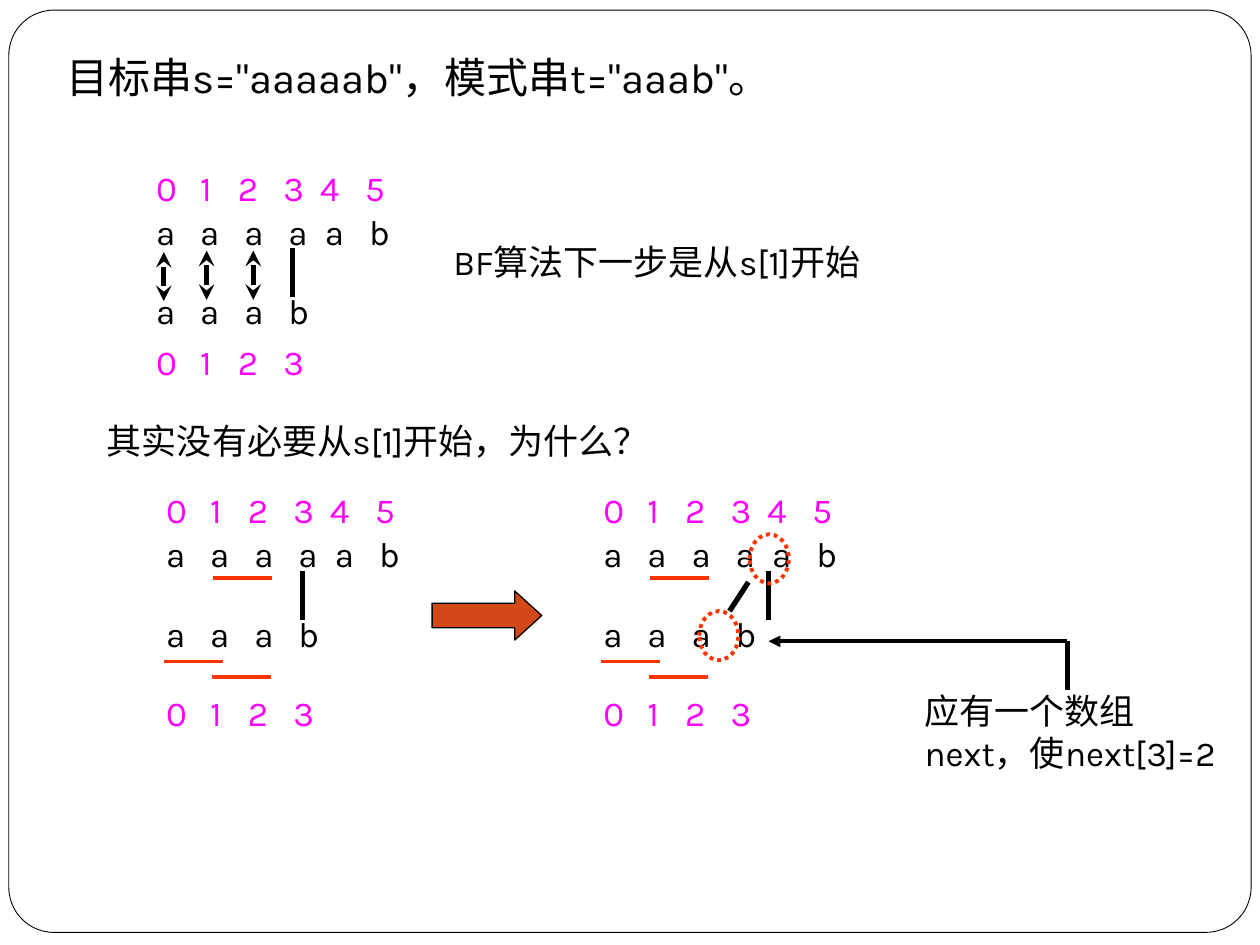
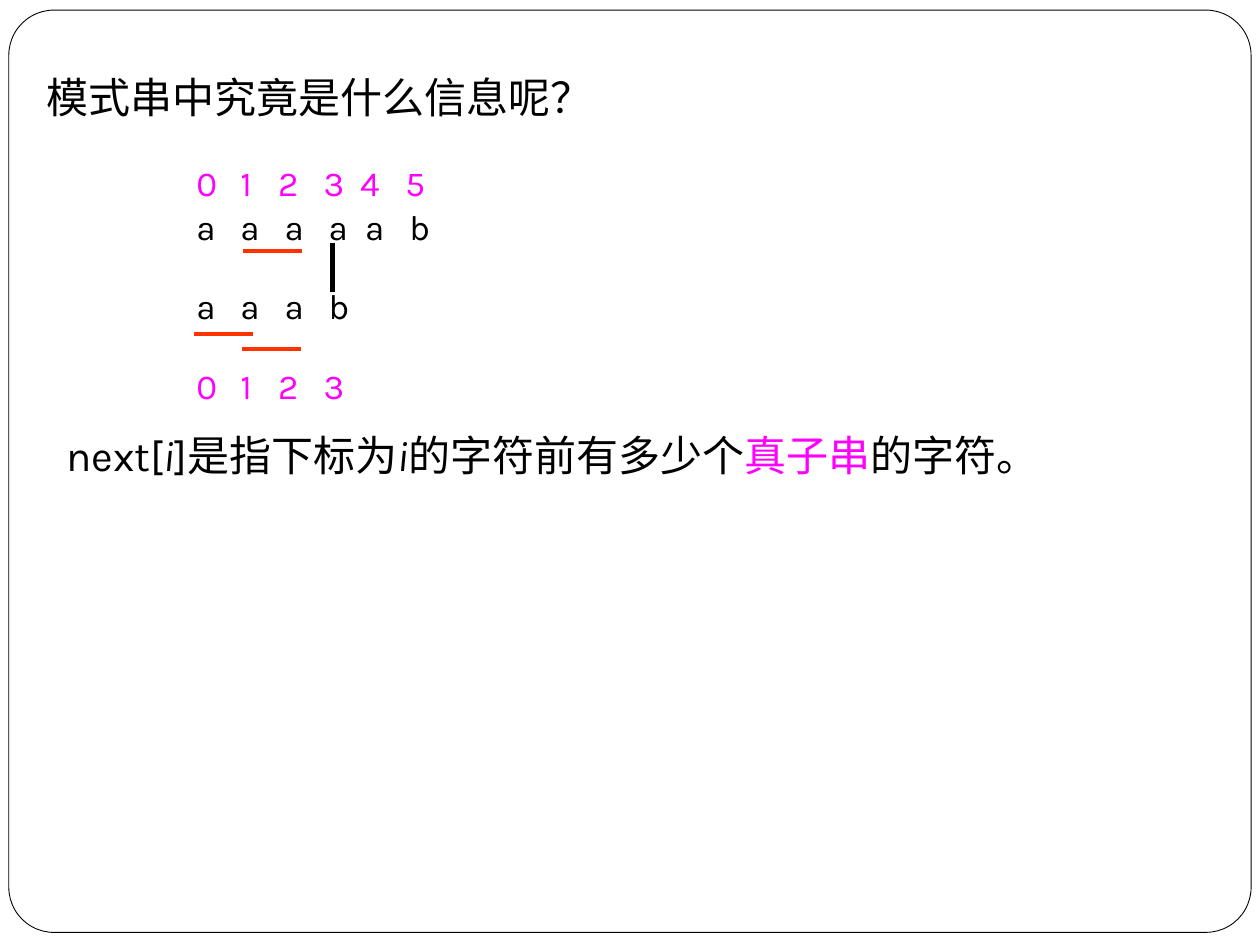
"""Build two slides that introduce the next array of the KMP algorithm."""
import dataclasses

import lxml.etree
import pptx
import pptx.dml.color
import pptx.enum.dml
import pptx.enum.shapes
import pptx.enum.text
import pptx.oxml.ns
import pptx.util

Inches = pptx.util.Inches
Pt = pptx.util.Pt
Shape = pptx.enum.shapes.MSO_SHAPE
qn = pptx.oxml.ns.qn


@dataclasses.dataclass(frozen=True)
class Theme:
    """Colours, type sizes and line widths of the presentation."""
    font: str = "Karla"
    ink: str = "000000"
    paper: str = "FFFFFF"
    index: str = "FF00FF"
    mark: str = "FF3300"
    accent: str = "D34817"
    title_size: int = 24
    body_size: int = 20
    bold_line: float = 3
    mark_line: float = 2.25
    thin_line: float = 0.75
    frame_line: float = 0.5


THEME = Theme()
TARGET, PATTERN = "aaaaab", "aaab"
LETTER_STOPS = (0.35, 0.70, 1.05, 1.34, 1.69)
INDEX_STOPS = (0.35, 0.65, 1.01, 1.30, 1.66)
MARK_WIDTH = 0.47


def colour(value):
    """Return a colour object for a hexadecimal value."""
    return pptx.dml.color.RGBColor.from_string(value)


def apply_format(target, values):
    """Set every attribute named in values on the target."""
    for name, value in values.items():
        setattr(target, name, value)


def add_text(slide, box, runs, size=THEME.body_size, stops=()):
    """Add one paragraph from (text, overrides) runs, with optional tab stops."""
    shape = slide.shapes.add_textbox(*map(Inches, box))
    apply_format(shape.text_frame, {
        "word_wrap": True,
        "auto_size": pptx.enum.text.MSO_AUTO_SIZE.SHAPE_TO_FIT_TEXT,
    })
    paragraph = shape.text_frame.paragraphs[0]
    paragraph.space_before = Pt(size * 0.625)
    if stops:
        properties = paragraph._p.get_or_add_pPr()
        tab_list = lxml.etree.SubElement(properties, qn("a:tabLst"))
        for stop in stops:
            lxml.etree.SubElement(tab_list, qn("a:tab"), pos=str(Inches(stop)), algn="l")
    for text, overrides in runs:
        run = paragraph.add_run()
        run.text = text
        values = {"color": THEME.ink, "italic": False, **overrides}
        run.font.color.rgb = colour(values.pop("color"))
        apply_format(run.font, {"name": THEME.font, "size": Pt(size), **values})


def add_line(slide, start, end, color=THEME.ink, width=THEME.bold_line, **arrowheads):
    """Add a straight connector, with optional headEnd and tailEnd arrowheads."""
    connector = slide.shapes.add_connector(
        pptx.enum.shapes.MSO_CONNECTOR.STRAIGHT, *map(Inches, (*start, *end)))
    connector.line.color.rgb = colour(color)
    connector.line.width = Pt(width)
    for end_name, kind in arrowheads.items():
        lxml.etree.SubElement(connector.line._get_or_add_ln(), qn(f"a:{end_name}"), type=kind)
    lxml.etree.SubElement(connector._element.spPr, qn("a:effectLst"))


def add_preset(slide, kind, box, line, width, fill=None, adjustments=()):
    """Add a preset shape without shadow and return it."""
    shape = slide.shapes.add_shape(kind, *map(Inches, box))
    shape.shadow.inherit = False
    for position, value in enumerate(adjustments):
        shape.adjustments[position] = value
    if fill:
        shape.fill.solid()
        shape.fill.fore_color.rgb = colour(fill)
    else:
        shape.fill.background()
    shape.line.color.rgb = colour(line)
    shape.line.width = Pt(width)
    return shape


def add_framed_slide(presentation):
    """Add a blank slide with the shared rounded frame."""
    slide = presentation.slides.add_slide(presentation.slide_layouts[6])
    add_preset(slide, Shape.ROUNDED_RECTANGLE, (0.07, 0.08, 9.86, 7.32),
               THEME.ink, THEME.frame_line, THEME.paper, (0.049,))
    return slide


def draw_comparison(slide, left, top, pattern_index_top=1.61, mismatch=1.18, marked=True):
    """Draw target and pattern with indices, the mismatch bar and equal substrings."""
    indices = "012345"
    rows = (
        (0, 2.6, indices, THEME.index, INDEX_STOPS),
        (0.35, 2.52, TARGET, THEME.ink, LETTER_STOPS),
        (0.98, 2.52, PATTERN, THEME.ink, LETTER_STOPS),
        (pattern_index_top, 1.97, indices[:len(PATTERN)], THEME.index, INDEX_STOPS),
    )
    for offset, width, characters, color, stops in rows:
        add_text(slide, (left, top + offset, width, 0.44),
                 [("\t".join(characters), {"color": color})], stops=stops)
    add_line(slide, (left + mismatch, top + 0.7), (left + mismatch, top + 1.09))
    marks = ((0.08, 1.42), (0.46, 1.54), (0.47, 0.76)) if marked else ()
    for across, down in marks:
        start = left + across
        add_line(slide, (start, top + down), (start + MARK_WIDTH, top + down),
                 THEME.mark, THEME.mark_line)


def draw_matches(slide, left, top):
    """Draw double arrows between the matching characters."""
    for across, down in ((0.16, 0.73), (0.5, 0.72), (0.87, 0.72)):
        x = left + across
        add_line(slide, (x, top + down), (x, top + down + 0.39),
                 headEnd="stealth", tailEnd="stealth")


def draw_next_comparison(slide, left, top):
    """Circle the pair compared next and join it with a slanted line."""
    for across, down in ((1.26, 0.41), (0.86, 1.02)):
        ring = add_preset(slide, Shape.OVAL, (left + across, top + down, 0.31, 0.39),
                          THEME.mark, THEME.mark_line)
        ring.line.dash_style = pptx.enum.dml.MSO_LINE.ROUND_DOT
    add_line(slide, (left + 1.25, top + 0.79), (left + 1.1, top + 1.02))


def draw_next_note(slide, left, top):
    """Draw the note on the next array and its bent arrow to the pattern."""
    corner = (left + 2.37, top)
    add_line(slide, corner, (left, top), width=THEME.mark_line, tailEnd="triangle")
    add_text(slide, (left + 1.14, top + 0.33, 2.56, 0.77),
             [("应有一个数组next，使next[3]=2", {})])
    add_line(slide, corner, (corner[0], top + 0.39))


def build_mismatch_slide(presentation):
    """Build the slide that asks where matching should resume."""
    slide = add_framed_slide(presentation)
    add_text(slide, (0.43, 0.36, 9.06, 0.5),
             [('目标串s="aaaaab"，模式串t="aaab"。', {})], THEME.title_size)
    draw_comparison(slide, 1.14, 1.27, pattern_index_top=1.38, marked=False)
    draw_matches(slide, 1.14, 1.27)
    add_text(slide, (3.5, 1.86, 4.41, 0.44), [("BF算法下一步是从s[1]开始", {})])
    add_text(slide, (0.75, 3.28, 4.72, 0.44), [("其实没有必要从s[1]开始，为什么？", {})])
    draw_comparison(slide, 1.22, 3.83)
    add_preset(slide, Shape.RIGHT_ARROW, (3.43, 4.69, 0.87, 0.39),
               THEME.ink, THEME.thin_line, THEME.accent, (0.5, 0.55))
    draw_comparison(slide, 4.69, 3.83, mismatch=1.41)
    draw_next_comparison(slide, 4.69, 3.83)
    draw_next_note(slide, 6.1, 5.09)


def build_definition_slide(presentation):
    """Build the slide that defines next[i]."""
    slide = add_framed_slide(presentation)
    add_text(slide, (0.27, 0.52, 4.96, 0.5),
             [("模式串中究竟是什么信息呢？", {})], THEME.title_size)
    draw_comparison(slide, 1.46, 1.23)
    italic = {"italic": True}
    add_text(slide, (0.43, 3.36, 8.43, 0.5), [
        ("next[", {}), ("i", italic), ("]是指下标为", {}), ("i", italic),
        ("的字符前有多少个", {}), ("真子串", {"color": THEME.index}), ("的字符。", {}),
    ], THEME.title_size)


def main():
    """Build and save the presentation."""
    presentation = pptx.Presentation()
    apply_format(presentation, {"slide_width": Inches(10), "slide_height": Inches(7.5)})
    build_mismatch_slide(presentation)
    build_definition_slide(presentation)
    presentation.save("out.pptx")


if __name__ == "__main__":
    main()
